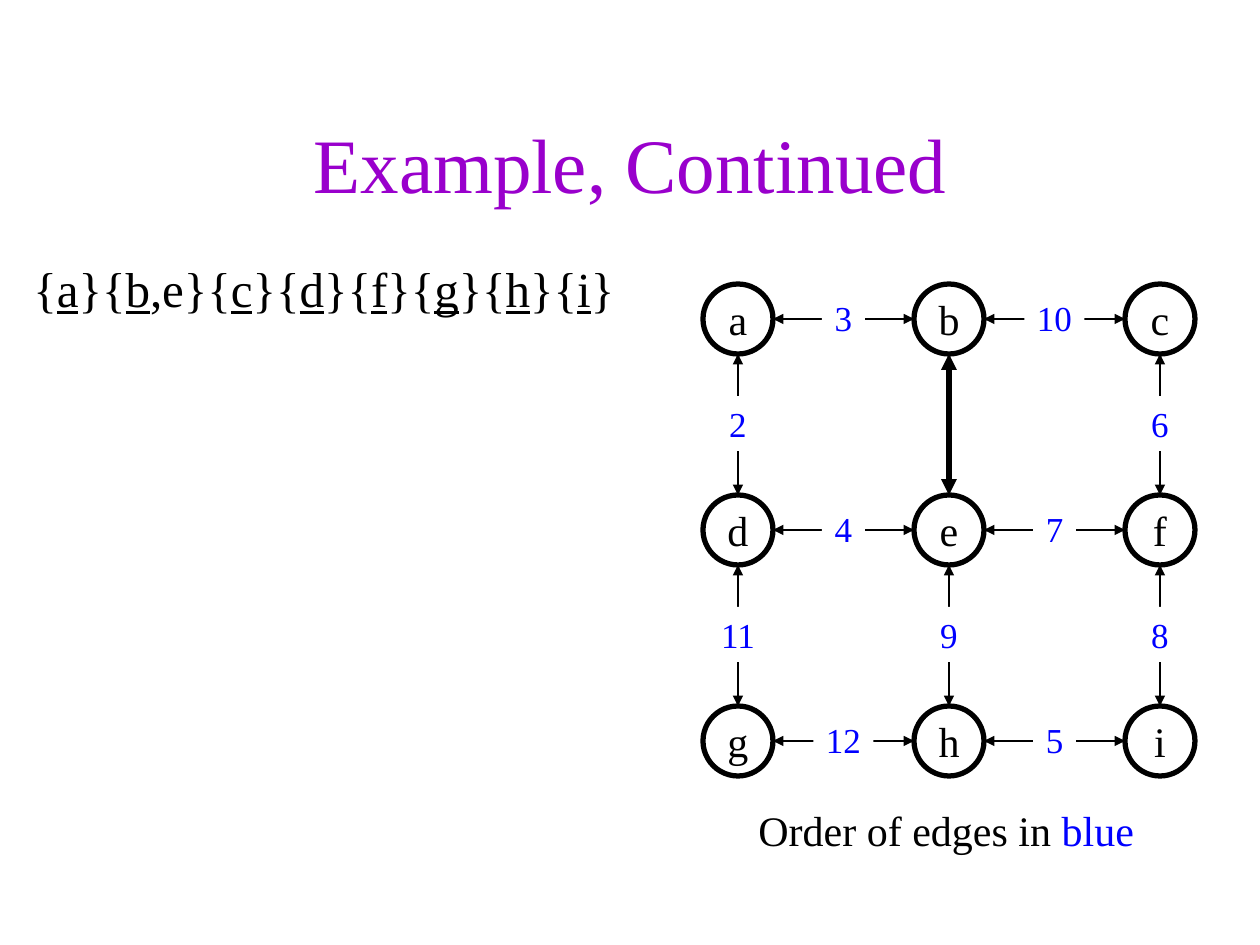
from lxml import etree
from pptx import Presentation
from pptx.dml.color import RGBColor
from pptx.enum.shapes import MSO_CONNECTOR, MSO_SHAPE
from pptx.enum.text import MSO_ANCHOR, PP_ALIGN
from pptx.oxml.ns import qn
from pptx.util import Emu, Pt

SCALE = 914400 // 126
TITLE_ONLY = 5
OVAL, RECTANGLE = MSO_SHAPE.OVAL, MSO_SHAPE.RECTANGLE
STRAIGHT = MSO_CONNECTOR.STRAIGHT
LEFT, CENTER = PP_ALIGN.LEFT, PP_ALIGN.CENTER
TOP, MIDDLE = MSO_ANCHOR.TOP, MSO_ANCHOR.MIDDLE
BLACK, WHITE, BLUE, PURPLE = "000000", "FFFFFF", "0000FF", "9900CC"


def px(value):
    """Turn picture pixels into EMU."""
    return Emu(round(value * SCALE))


def color(value):
    """Turn a hex string into a colour."""
    return RGBColor.from_string(value)


class GraphSlide:
    """Holds the style and the current slide."""

    font_name = "Times New Roman"
    thin, thick = Pt(0.75), Pt(3)

    def __init__(self, presentation):
        """Add a title-only slide."""
        self.slide = presentation.slides.add_slide(presentation.slide_layouts[TITLE_ONLY])

    def fill_text(self, shape, runs, size, align=CENTER, anchor=MIDDLE, wrap=False):
        """Fill one paragraph with (text, colour, underline) runs."""
        frame = shape.text_frame
        frame_format = {"word_wrap": wrap, "vertical_anchor": anchor}
        for name, value in frame_format.items():
            setattr(frame, name, value)
        paragraph = frame.paragraphs[0]
        paragraph.alignment = align
        for text, hex_color, underline in runs:
            run = paragraph.add_run()
            run.text = text
            font_format = {"name": self.font_name, "size": Pt(size), "underline": underline}
            for name, value in font_format.items():
                setattr(run.font, name, value)
            run.font.color.rgb = color(hex_color)
        return paragraph

    def title(self, text, left, top, width, height):
        """Place and fill the title placeholder."""
        shape = self.slide.shapes.title
        place = {"left": left, "top": top, "width": width, "height": height}
        for name, value in place.items():
            setattr(shape, name, px(value))
        self.fill_text(shape, [(text, PURPLE, False)], 44, wrap=True)

    def text(self, runs, size, left, top, width, height, wrap=False):
        """Add a left-aligned text box."""
        box = self.slide.shapes.add_textbox(px(left), px(top), px(width), px(height))
        return self.fill_text(box, runs, size, LEFT, TOP, wrap)

    def shape(self, kind, center_x, center_y, width, height):
        """Add a preset shape around a centre, without shadow."""
        shape = self.slide.shapes.add_shape(
            kind, px(center_x - width / 2), px(center_y - height / 2), px(width), px(height))
        shape.shadow.inherit = False
        return shape

    def node(self, letter, x, y, diameter):
        """Add a lettered circle."""
        circle = self.shape(OVAL, x, y, diameter, diameter)
        circle.fill.background()
        circle.line.color.rgb = color(BLACK)
        circle.line.width = self.thick
        self.fill_text(circle, [(letter, BLACK, False)], 24)

    def edge(self, start, end, width):
        """Add a line with an arrowhead at both ends."""
        connector = self.slide.shapes.add_connector(STRAIGHT, *map(px, start + end))
        connector.line.color.rgb = color(BLACK)
        connector.line.width = width
        properties = connector._element.spPr
        outline = properties.find(qn("a:ln"))
        for end_name in ("a:headEnd", "a:tailEnd"):
            etree.SubElement(outline, qn(end_name), type="triangle")
        etree.SubElement(properties, qn("a:effectLst"))

    def label(self, order, x, y, width):
        """Add a blue number on a white patch."""
        patch = self.shape(RECTANGLE, x, y, width, 55)
        patch.fill.solid()
        patch.fill.fore_color.rgb = color(WHITE)
        patch.line.fill.background()
        self.fill_text(patch, [(order, BLUE, False)], 20, anchor=TOP)


presentation = Presentation()
presentation.slide_width, presentation.slide_height = px(1260), px(945)
graph = GraphSlide(presentation)
graph.title("Example, Continued", 95, 84, 1071, 158)

set_runs = [(part, BLACK, part.isalpha()) for part in
            "{ a }{ b ,e}{ c }{ d }{ f }{ g }{ h }{ i }".split()]
sets = graph.text(set_runs, 28, 21, 252, 651, 567, wrap=True)
sets.space_before = Pt(7)
graph.text([("Order of edges in ", BLACK, False), ("blue", BLUE, False)],
           24, 746, 798, 401, 63)

PITCH, DIAMETER = 211, 70
RADIUS = DIAMETER / 2
centers = {letter: (738 + PITCH * (index % 3), 319 + PITCH * (index // 3))
           for index, letter in enumerate("abcdefghi")}
# Each edge: its two nodes, its order and the width of its label.
edges = [
    ("ab", "3", 43), ("bc", "10", 60), ("de", "4", 43),
    ("ef", "7", 43), ("gh", "12", 60), ("hi", "5", 43),
    ("ad", "2", 57), ("be", None, 0), ("cf", "6", 57),
    ("dg", "11", 94), ("eh", "9", 112), ("fi", "8", 57),
]

for letter, (x, y) in centers.items():
    graph.node(letter, x, y, DIAMETER)
for (first, second), order, label_width in edges:
    (x1, y1), (x2, y2) = centers[first], centers[second]
    step_x, step_y = (RADIUS, 0) if y1 == y2 else (0, RADIUS)
    graph.edge((x1 + step_x, y1 + step_y), (x2 - step_x, y2 - step_y),
               graph.thin if order else graph.thick)
    if order:
        graph.label(order, (x1 + x2) / 2, (y1 + y2) / 2 - 1, label_width)

presentation.save("out.pptx")
